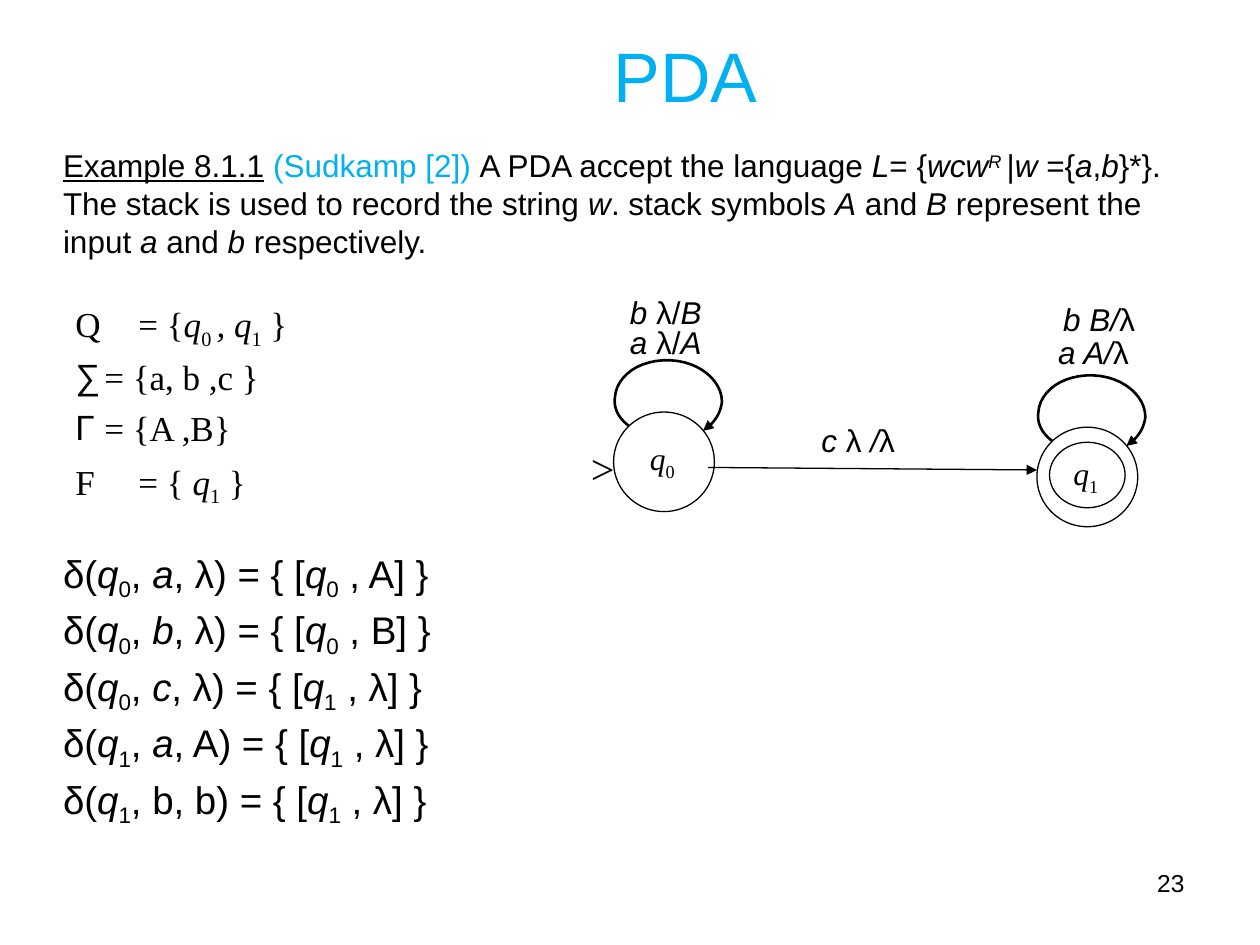
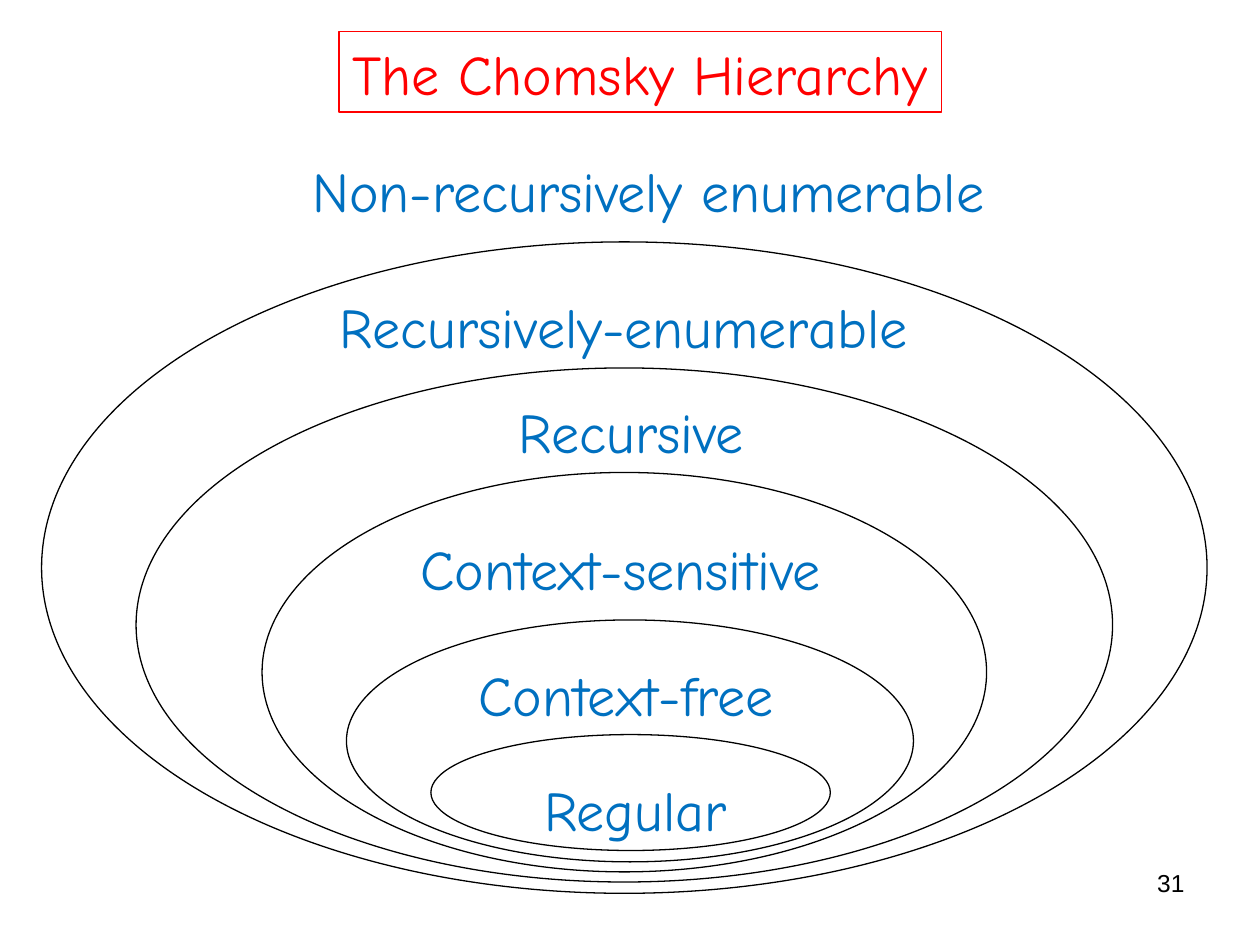
"""Builds two lecture slides: a pushdown automaton and the Chomsky hierarchy."""
from lxml import etree
from pptx import Presentation
from pptx.dml.color import RGBColor
from pptx.enum.shapes import MSO_CONNECTOR, MSO_SHAPE
from pptx.enum.text import MSO_ANCHOR, MSO_AUTO_SIZE, PP_ALIGN
from pptx.oxml.ns import qn
from pptx.util import Inches, Pt

BLACK = RGBColor(0x00, 0x00, 0x00)
CYAN = RGBColor(0x00, 0xB0, 0xF0)
BLUE = RGBColor(0x00, 0x70, 0xC0)
RED = RGBColor(0xFF, 0x00, 0x00)
SANS, SERIF, COMIC = "Arial", "Times New Roman", "Comic Neue"
LEFT, CENTER, RIGHT = PP_ALIGN.LEFT, PP_ALIGN.CENTER, PP_ALIGN.RIGHT
TOP, MIDDLE = MSO_ANCHOR.TOP, MSO_ANCHOR.MIDDLE
NO_FIT = MSO_AUTO_SIZE.NONE
OVAL, STRAIGHT = MSO_SHAPE.OVAL, MSO_CONNECTOR.STRAIGHT
TITLE_AND_BODY, TITLE_ONLY = 1, 5
SPACING = 1.05
BASELINES = {"s": "-25000", "p": "30000"}

LOOP_START = (4.99, 3.38)
LOOP_CURVES = [
    ((4.91, 3.32), (4.87, 3.24), (4.88, 3.16)),
    ((4.89, 2.98), (5.08, 2.85), (5.32, 2.86)),
    ((5.55, 2.87), (5.73, 3.02), (5.73, 3.19)),
    ((5.72, 3.28), (5.67, 3.36), (5.58, 3.42)),
]
LOOP_STEPS = 12

INTRO = [
    ("Example 8.1.1", "u"), (" ", ""), ("(Sudkamp [2]) ", "c"),
    ("A PDA accept the language ", ""), ("L", "i"), ("= {", ""),
    ("wcw", "i"), ("R ", "ip"), ("|", ""), ("w", "i"), (" ={", ""),
    ("a", "i"), (",", ""), ("b", "i"),
    ("}*}. The stack is used to record the string ", ""), ("w", "i"),
    (". stack symbols ", ""), ("A", "i"), (" and ", ""), ("B", "i"),
    (" represent the input ", ""), ("a", "i"), (" and ", ""), ("b", "i"),
    (" respectively.", ""),
]
TRANSITIONS = [
    ("0", [("a", "i"), (", λ", "")], "0", "A"),
    ("0", [("b", "i"), (", λ", "")], "0", "B"),
    ("0", [("c", "i"), (", λ", "")], "1", "λ"),
    ("1", [("a", "i"), (", A", "")], "1", "λ"),
    ("1", [("b, b", "")], "1", "λ"),
]
ARC_LABELS = [
    (4.9, 2.26, [("b ", "i"), ("λ/", ""), ("B", "i")]),
    (4.9, 2.5, [("a ", "i"), ("λ/", ""), ("A", "i")]),
    (6.42, 3.28, [("c ", "i"), ("λ ", ""), ("/", "i"), ("λ", "")]),
    (8.3, 2.58, [("a A/", "i"), ("λ", "")]),
    (8.34, 2.32, [("b B/", "i"), ("λ", "")]),
]
LANGUAGE_CLASSES = [
    ("Non-recursively enumerable", (2.38, 1.17, 5.56), None),
    ("Recursively-enumerable", (2.6, 2.25, 4.73), (0.33, 1.92, 9.25, 5.17)),
    ("Recursive", (4.02, 3.08, 2), (1.08, 2.92, 7.75, 4.08)),
    ("Context-sensitive", (3.24, 4.17, 3.4), (2.08, 3.75, 5.75, 3.17)),
    ("Context-free", (3.7, 5.17, 2.57), (2.75, 4.92, 4.5, 1.92)),
    ("Regular", (4.22, 6.08, 1.65), (3.42, 5.83, 3.17, 0.92)),
]


def state(number):
    """Return the spans of a state name with its subscript."""
    return [("q", "i"), (number, "s")]


def loop_points():
    """Return points along the self-loop curve."""
    points, start = [LOOP_START], LOOP_START
    for first, second, end in LOOP_CURVES:
        for step in range(1, LOOP_STEPS + 1):
            t = step / LOOP_STEPS
            weights = ((1 - t) ** 3, 3 * t * (1 - t) ** 2, 3 * t * t * (1 - t), t ** 3)
            points.append(tuple(
                sum(weight * value for weight, value in zip(weights, values))
                for values in zip(start, first, second, end)))
        start = end
    return points


class Lecture:
    """Holds the deck's style and its current page."""

    def __init__(self):
        """Start an empty deck."""
        self.deck = Presentation()
        self.deck.slide_width, self.deck.slide_height = Inches(10), Inches(7.5)
        self.page = None

    def new_page(self, layout, number):
        """Add a page with its number."""
        self.page = self.deck.slides.add_slide(self.deck.slide_layouts[layout])
        self.text((7.17, 6.83, 2.33, 0.52), [(number, "")], size=14, align=RIGHT)

    def place(self, box, at, wrap=True, anchor=TOP):
        """Position a text-bearing box and return its frame."""
        box.left, box.top, box.width, box.height = map(Inches, at)
        frame = box.text_frame
        frame.auto_size = NO_FIT
        frame.word_wrap = wrap
        frame.vertical_anchor = anchor
        return frame

    def fill_para(self, para, spans, size, font=SANS, color=BLACK, align=LEFT,
                  spacing=SPACING, before=0):
        """Fill a paragraph run by run."""
        para.alignment = align
        para.line_spacing = spacing
        para.space_before = Pt(before)
        for text, marks in spans:
            span = para.add_run()
            span.text = text
            span.font.name, span.font.size = font, Pt(size)
            span.font.color.rgb = CYAN if "c" in marks else color
            span.font.italic = "i" in marks
            span.font.underline = "u" in marks
            for mark, shift in BASELINES.items():
                if mark in marks:
                    span.font._element.set("baseline", shift)

    def indent(self, para, bullet=None, tab=None):
        """Set the bullet and tab stop of a paragraph."""
        properties = para._p.get_or_add_pPr()
        hang = Inches(0.23) if bullet else 0
        properties.set("marL", str(hang))
        properties.set("indent", str(-hang))
        if bullet:
            etree.SubElement(properties, qn("a:buFont")).set("typeface", SANS)
            etree.SubElement(properties, qn("a:buChar")).set("char", bullet)
        else:
            etree.SubElement(properties, qn("a:buNone"))
        if tab:
            stops = etree.SubElement(properties, qn("a:tabLst"))
            stop = etree.SubElement(stops, qn("a:tab"))
            stop.set("pos", str(Inches(tab)))
            stop.set("algn", "l")

    def title(self, at, text, size, font, color, border=None):
        """Fill and place the title placeholder."""
        box = self.page.shapes.title
        frame = self.place(box, at, wrap=False, anchor=MIDDLE)
        self.fill_para(frame.paragraphs[0], [(text, "")], size, font, color, CENTER)
        if border:
            self.outline(box, border)

    def text(self, at, spans, size=18, font=SANS, color=BLACK, align=LEFT, wrap=True):
        """Add a one-paragraph text box."""
        box = self.page.shapes.add_textbox(0, 0, 0, 0)
        frame = self.place(box, at, wrap)
        self.fill_para(frame.paragraphs[0], spans, size, font, color, align)

    def outline(self, shape, color=BLACK, width=0.75):
        """Give a shape an outline only."""
        shape.fill.background()
        shape.line.color.rgb = color
        shape.line.width = Pt(width)

    def oval(self, at):
        """Add an unfilled oval."""
        shape = self.page.shapes.add_shape(OVAL, *map(Inches, at))
        shape.shadow.inherit = False
        self.outline(shape)

    def arrowhead(self, shape):
        """End a line with a triangle."""
        etree.SubElement(shape.line._get_or_add_ln(), qn("a:tailEnd")).set("type", "triangle")

    def arrow(self, start, end):
        """Add a straight arrow."""
        line = self.page.shapes.add_connector(STRAIGHT, *map(Inches, start + end))
        line.line.color.rgb = BLACK
        line.line.width = Pt(0.75)
        self.arrowhead(line)
        etree.SubElement(line._element.spPr, qn("a:effectLst"))

    def loop(self, right=0, down=0):
        """Add a self-loop arrow, shifted from the first state."""
        points = [(Inches(x + right), Inches(y + down)) for x, y in loop_points()]
        builder = self.page.shapes.build_freeform(*points[0])
        builder.add_line_segments(points[1:], close=False)
        shape = builder.convert_to_shape()
        shape.shadow.inherit = False
        self.outline(shape, width=1.5)
        self.arrowhead(shape)

    def body(self, at, intro, formulas):
        """Fill the body placeholder with an introduction and formulas."""
        frame = self.place(self.page.placeholders[1], at)
        para = frame.paragraphs[0]
        self.indent(para)
        self.fill_para(para, intro, 18, spacing=Pt(21.7))
        for index, spans in enumerate(formulas):
            para = frame.add_paragraph()
            self.indent(para)
            self.fill_para(para, spans, 22, spacing=Pt(25.4), before=6.9 if index else 170)

    def definitions(self, at, rows):
        """Add the box of set definitions."""
        frame = self.place(self.page.shapes.add_textbox(0, 0, 0, 0), at)
        for index, (bullet, spans) in enumerate(rows):
            para = frame.add_paragraph() if index else frame.paragraphs[0]
            self.indent(para, bullet, None if bullet else 0.34)
            self.fill_para(para, spans, 20, SERIF, spacing=0.95, before=6.2 if index else 0)


def automaton_page(lecture):
    """Build the pushdown automaton page."""
    lecture.new_page(TITLE_AND_BODY, "23")
    lecture.title((3.82, 0.26, 3.24, 0.63), "PDA", 40, SANS, CYAN)
    formulas = [
        [("δ(", ""), *state(source), (", ", ""), *reads, (") = { [", ""),
         *state(target), (f" , {pushed}] }}", "")]
        for source, reads, target, pushed in TRANSITIONS
    ]
    lecture.body((0.4, 1.11, 9.1, 5.67), INTRO, formulas)
    lecture.definitions((0.5, 2.35, 3.5, 2.12), [
        (None, [("Q\t= {", ""), ("q", "i"), ("0 ", "s"), (", q", "i"), ("1", "s"), (" }", "")]),
        ("∑", [("= {a, b ,c }", "")]),
        ("Γ", [("= {A ,B}", "")]),
        (None, [("F\t= { ", ""), *state("1"), (" }", "")]),
    ])
    for at in ((4.87, 3.27, 0.8, 0.79), (8.23, 3.39, 0.8, 0.79), (8.33, 3.51, 0.6, 0.52)):
        lecture.oval(at)
    lecture.loop()
    lecture.loop(3.36, 0.12)
    lecture.arrow((5.62, 3.71), (8.23, 3.73))
    lecture.text((4.59, 3.44, 0.39, 0.5), [(">", "")], 24, SERIF, wrap=False)
    lecture.text((5.06, 3.42, 0.62, 0.44), state("0"), font=SERIF)
    lecture.text((8.42, 3.54, 0.62, 0.44), state("1"), font=SERIF)
    for left, top, spans in ARC_LABELS:
        lecture.text((left, top, 1.2, 0.4), spans)


def hierarchy_page(lecture):
    """Build the Chomsky hierarchy page."""
    lecture.new_page(TITLE_ONLY, "31")
    lecture.title((2.69, 0.25, 4.78, 0.64), "The Chomsky Hierarchy", 32, COMIC, RED, RED)
    for name, (left, top, width), region in LANGUAGE_CLASSES:
        if region:
            lecture.oval(region)
        lecture.text((left, top, width, 0.64), [(name, "")], 32, COMIC, BLUE, wrap=False)


def main():
    """Build and save the deck."""
    lecture = Lecture()
    automaton_page(lecture)
    hierarchy_page(lecture)
    lecture.deck.save("out.pptx")


if __name__ == "__main__":
    main()
